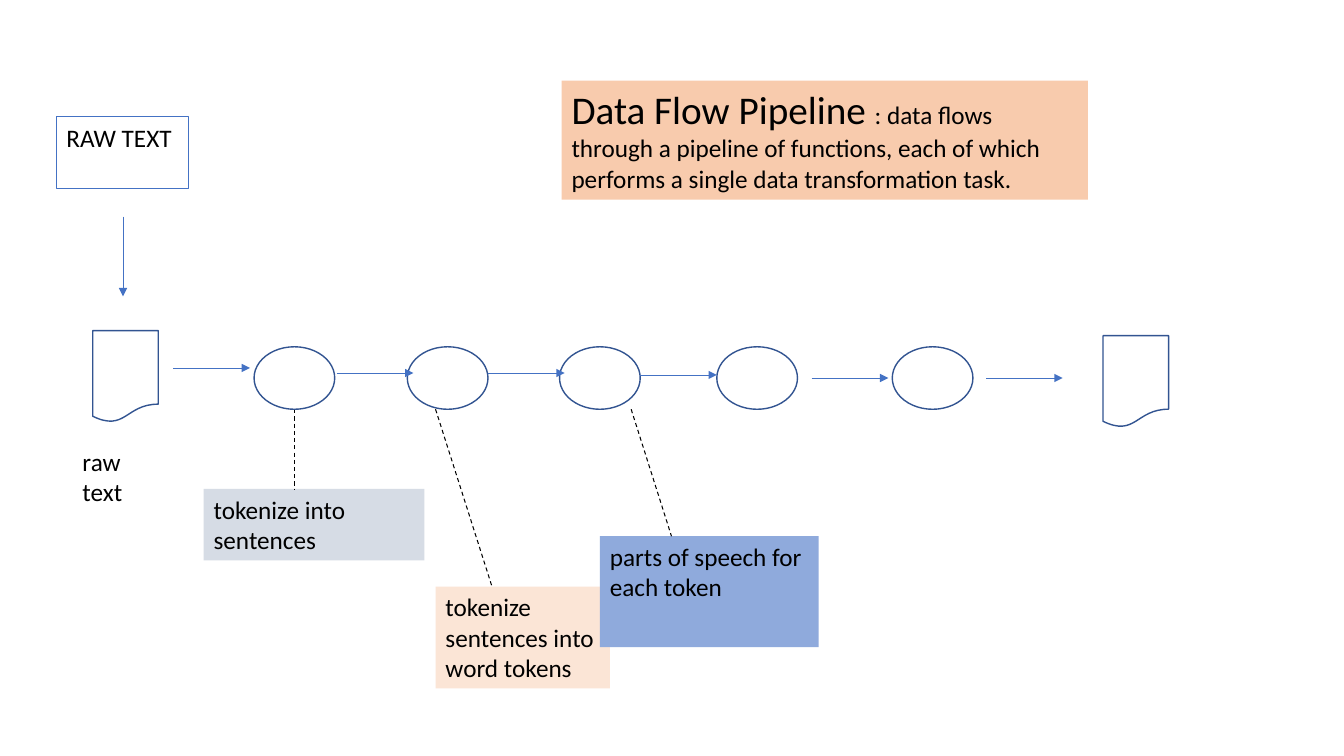
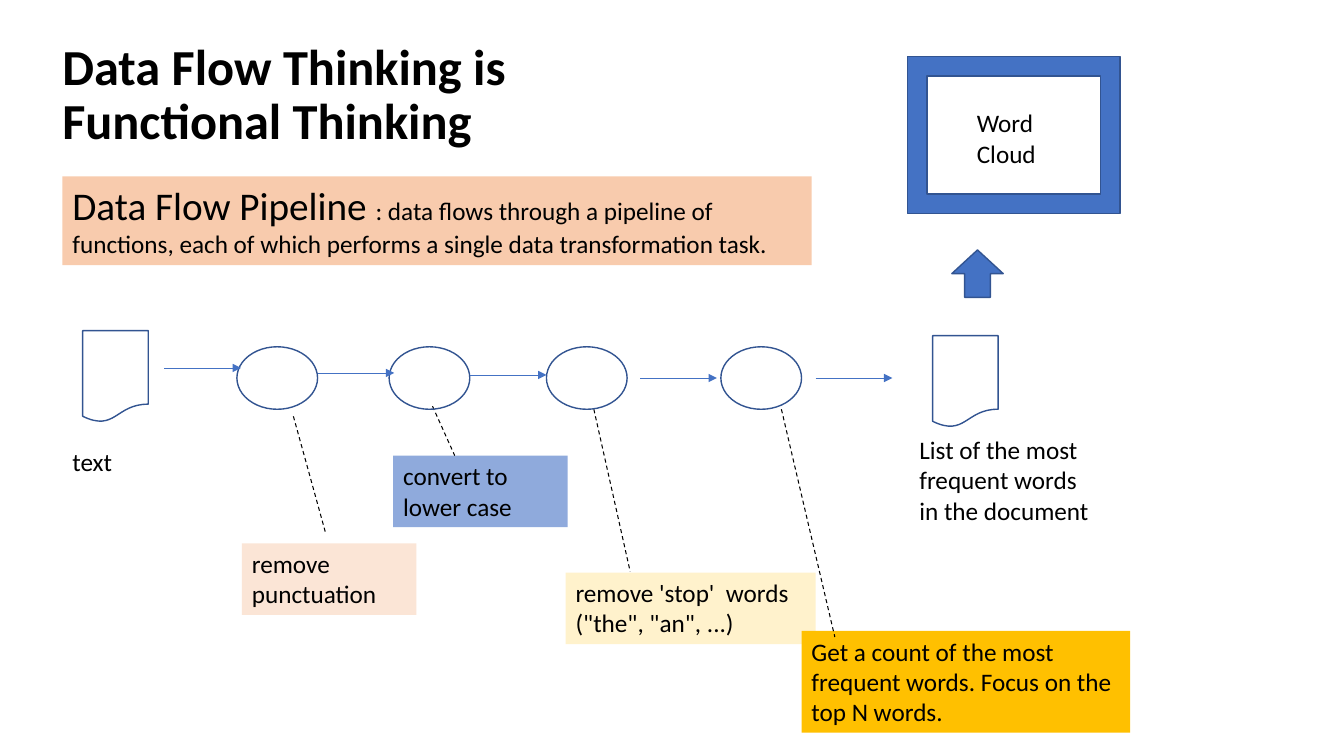
from lxml import etree
from pptx import Presentation
from pptx.dml.color import RGBColor
from pptx.enum.dml import MSO_LINE
from pptx.enum.shapes import MSO_CONNECTOR, MSO_SHAPE
from pptx.enum.text import MSO_ANCHOR
from pptx.oxml.ns import qn
from pptx.util import Inches, Pt

DOCUMENT = MSO_SHAPE.FLOWCHART_DOCUMENT
STEP = MSO_SHAPE.FLOWCHART_CONNECTOR
FRAME = MSO_SHAPE.FRAME
UP_ARROW = MSO_SHAPE.UP_ARROW
STRAIGHT = MSO_CONNECTOR.STRAIGHT
DASH = MSO_LINE.DASH
MIDDLE = MSO_ANCHOR.MIDDLE

FONT = "Calibri"
COLORS = {
    "text": "000000",
    "blue": "4472C4",
    "outline": "325491",
    "peach": "F8CBAD",
    "gray": "D6DCE5",
    "light_peach": "FBE5D6",
    "light_blue": "8FAADC",
    "cream": "FFF2CC",
    "gold": "FFC000",
}
ARROW_LENGTH = 0.76


def color(name):
    return RGBColor.from_string(COLORS[name])


class Deck:
    """Holds the shared style and the current slide."""

    def __init__(self):
        self.presentation = Presentation()
        self.presentation.slide_width = Inches(13.33)
        self.presentation.slide_height = Inches(7.5)
        self.slide = None

    def new_slide(self):
        layout = self.presentation.slide_layouts[6]
        self.slide = self.presentation.slides.add_slide(layout)

    def add_text(self, shape, runs, bold=False, anchor=None, spacing=None):
        """Add (text, size) runs; a newline in the text is a line break."""
        frame = shape.text_frame
        frame.word_wrap = True
        if anchor is not None:
            frame.vertical_anchor = anchor
        paragraph = frame.paragraphs[0]
        paragraph.line_spacing = spacing
        for text, size in runs:
            for index, line in enumerate(text.split("\n")):
                if index:
                    paragraph.add_line_break()
                run = paragraph.add_run()
                run.text = line
                run.font.name = FONT
                run.font.size = Pt(size)
                run.font.bold = bold
                run.font.color.rgb = color("text")

    def text_box(self, box, runs, fill=None, line=None, **style):
        shape = self.slide.shapes.add_textbox(*map(Inches, box))
        self.add_text(shape, runs, **style)
        if fill:
            shape.fill.solid()
            shape.fill.fore_color.rgb = color(fill)
        if line:
            shape.line.color.rgb = color(line)
            shape.line.width = Pt(0.75)

    def label(self, box, text, fill=None, line=None):
        self.text_box(box, [(text, 18)], fill, line)

    def title(self, box, text):
        self.text_box(box, [(text, 36)], bold=True, anchor=MIDDLE, spacing=0.9)

    def definition(self, box):
        self.text_box(box, [
            ("Data Flow Pipeline ", 28),
            (": data flows through a pipeline of functions, each of which "
             "performs a single data transformation task.", 18),
        ], "peach")

    def outline_shape(self, kind, box, fill=None):
        shape = self.slide.shapes.add_shape(kind, *map(Inches, box))
        shape.shadow.inherit = False
        if fill:
            shape.fill.solid()
            shape.fill.fore_color.rgb = color(fill)
        else:
            shape.fill.background()
        shape.line.color.rgb = color("outline")
        shape.line.width = Pt(1)

    def line(self, start, end, line_color, width):
        connector = self.slide.shapes.add_connector(
            STRAIGHT, *map(Inches, (*start, *end)))
        connector.line.color.rgb = color(line_color)
        connector.line.width = Pt(width)
        etree.SubElement(connector._element.spPr, qn("a:effectLst"))
        return connector

    def arrow(self, start, end):
        connector = self.line(start, end, "blue", 0.5)
        outline = connector._element.spPr.find(qn("a:ln"))
        etree.SubElement(outline, qn("a:tailEnd"), type="triangle")

    def leader(self, start, end):
        self.line(start, end, "text", 0.75).line.dash_style = DASH

    def pipeline(self, source_left, step_lefts, result_left, arrow_starts):
        self.outline_shape(DOCUMENT, (source_left, 3.28, 0.65, 0.91))
        for left in step_lefts:
            self.outline_shape(STEP, (left, 3.44, 0.8, 0.62))
        self.outline_shape(DOCUMENT, (result_left, 3.33, 0.65, 0.91))
        for left, top in arrow_starts:
            self.arrow((left, top), (left + ARROW_LENGTH, top))

    def notes(self, entries):
        for box, text, fill, start, end in entries:
            self.label(box, text, fill)
            self.leader(start, end)


def tokenizing_slide(deck):
    deck.new_slide()
    deck.definition((5.57, 0.8, 5.22, 1.18))

    # Raw text entering the pipeline
    deck.label((0.56, 1.16, 1.31, 0.71), "RAW TEXT", line="blue")
    deck.arrow((1.22, 2.15), (1.22, 2.94))
    deck.label((0.72, 4.38, 1, 0.71), "raw text")

    # What each step does
    deck.notes([
        ((2.02, 4.85, 2.19, 0.71), "tokenize into\nsentences", "gray",
         (2.92, 4.06), (2.92, 4.85)),
        ((4.32, 5.82, 1.73, 1.01), "tokenize sentences into word tokens",
         "light_peach", (4.32, 4.06), (4.88, 5.82)),
        ((5.95, 5.32, 2.17, 1.1), "parts of speech for each token",
         "light_blue", (6.26, 4.06), (6.66, 5.32)),
    ])

    deck.pipeline(
        0.92, [2.52, 4.04, 5.55, 7.11, 8.85], 10.94,
        [(1.72, 3.65), (3.34, 3.7), (4.84, 3.7), (6.35, 3.72),
         (8.05, 3.75), (9.78, 3.75)])


def word_count_slide(deck):
    deck.new_slide()
    deck.title((0.52, 0.23, 8.33, 1.45),
               "Data Flow Thinking is \nFunctional Thinking")
    deck.definition((0.62, 1.75, 7.43, 0.88))

    # Input and result
    deck.label((0.62, 4.38, 1, 0.4), "text")
    deck.label((9.02, 4.26, 1.91, 1.01),
               "List of the most frequent words in the document")

    # What each step does
    deck.notes([
        ((2.4, 5.39, 1.73, 0.71), "remove punctuation", "light_peach",
         (2.91, 4.13), (3.23, 5.29)),
        ((3.9, 4.52, 1.73, 0.71), "convert to lower case", "light_blue",
         (4.29, 4.03), (4.51, 4.52)),
        ((5.61, 5.68, 2.48, 0.71),
         "remove 'stop'  words (\"the\", \"an\", ...)", "cream",
         (5.89, 4.06), (6.25, 5.67)),
        ((7.95, 6.26, 3.26, 1.01),
         "Get a count of the most frequent words. Focus on the top N words.",
         "gold", (7.75, 4.06), (8.28, 6.32)),
    ])

    deck.pipeline(
        0.82, [2.35, 3.86, 5.42, 7.15], 9.25,
        [(1.63, 3.65), (3.15, 3.7), (4.66, 3.72), (6.35, 3.75),
         (8.09, 3.75)])

    # Word cloud made from the result
    deck.outline_shape(FRAME, (9, 0.56, 2.11, 1.56), "blue")
    deck.label((9.59, 1.02, 0.93, 0.71), "Word Cloud")
    deck.outline_shape(UP_ARROW, (9.44, 2.48, 0.51, 0.47), "blue")


def main():
    deck = Deck()
    tokenizing_slide(deck)
    word_count_slide(deck)
    deck.presentation.save("out.pptx")


if __name__ == "__main__":
    main()
